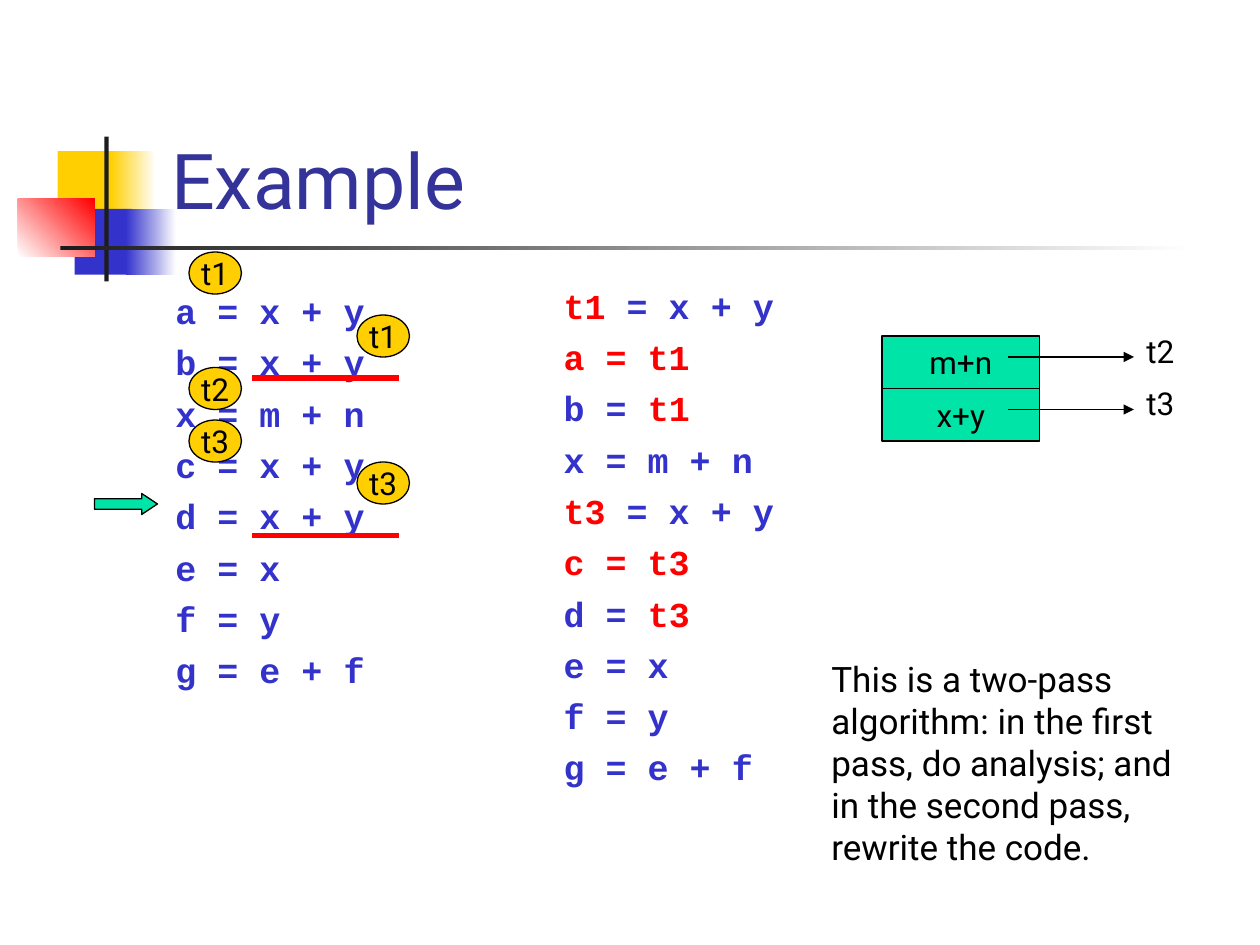
from typing import NamedTuple

from lxml import etree
from pptx import Presentation
from pptx.dml.color import RGBColor
from pptx.enum.shapes import MSO_CONNECTOR, MSO_SHAPE
from pptx.enum.text import MSO_ANCHOR, MSO_AUTO_SIZE, PP_ALIGN
from pptx.oxml.ns import qn
from pptx.util import Inches, Length, Pt

RECTANGLE, OVAL, ARROW = MSO_SHAPE.RECTANGLE, MSO_SHAPE.OVAL, MSO_SHAPE.RIGHT_ARROW
STRAIGHT = MSO_CONNECTOR.STRAIGHT
MIDDLE, BOTTOM = MSO_ANCHOR.MIDDLE, MSO_ANCHOR.BOTTOM
LEFT, CENTER = PP_ALIGN.LEFT, PP_ALIGN.CENTER
FIXED, GROW = MSO_AUTO_SIZE.NONE, MSO_AUTO_SIZE.SHAPE_TO_FIT_TEXT

BODY_FONT, CODE_FONT = "Roboto", "Courier New"
BLACK, WHITE, INK, NAVY = "000000", "FFFFFF", "1C1C1C", "333399"
BLUE, RED, GOLD, GREEN = "3333CC", "FF0000", "FFCF01", "00E4A8"


class Area(NamedTuple):
    """A place on the slide's grid of 120 columns by 90 rows."""
    column: float
    row: float
    columns: float
    rows: float


class Decor(NamedTuple):
    area: Area
    start: str
    end: str = ""
    angle: float = 0


class Tag(NamedTuple):
    column: float
    row: float
    text: str


DECOR = [
    Decor(Area(5.5, 14.4, 5.75, 6.25), GOLD),
    Decor(Area(10.55, 14.4, 4.3, 6.25), GOLD, WHITE),
    Decor(Area(7.1, 19.9, 5.5, 6.25), BLUE),
    Decor(Area(12, 19.9, 4.8, 6.25), BLUE, WHITE),
    Decor(Area(1.7, 18.95, 7.3, 5.5), WHITE, RED, 45),
    Decor(Area(9.95, 13, 0.4, 13.8), INK),
    Decor(Area(5.75, 23.4, 108, 0.4), INK, WHITE),
]
TAGS = [Tag(18, 24, "t1"), Tag(34, 30, "t1"), Tag(18, 35, "t2"),
        Tag(18, 40, "t3"), Tag(34, 44, "t3")]
UNDERLINE_ROWS = [36, 51]
EXPRESSIONS = [("m+n", "t2"), ("x+y", "t3")]

# Text between bars is highlighted.
CODE_BEFORE = ["a = x + y", "b = x + y", "x = m + n", "c = x + y",
               "d = x + y", "e = x", "f = y", "g = e + f"]
CODE_AFTER = ["|t1| = x + y", "|a = t1|", "b = |t1|", "x = m + n",
              "|t3| = x + y", "|c = t3|", "d = |t3|", "e = x", "f = y", "g = e + f"]
NOTE = ("This is a two-pass algorithm: in the first pass, do analysis; "
        "and in the second pass, rewrite the code.")


def grid(cells: float) -> Length:
    return Inches(cells / 12)


def place(area: Area) -> list[Length]:
    return [grid(cells) for cells in area]


def color(value: str) -> RGBColor:
    return RGBColor.from_string(value)


def style_font(para, name: str, size: float, fill: str, bold: bool = False) -> None:
    font = para.font
    font.name, font.size, font.bold = name, Pt(size), bold
    font.color.rgb = color(fill)


def add_shape(slide, kind, area: Area, fill: str, outlined: bool = True):
    shape = slide.shapes.add_shape(kind, *place(area))
    shape.shadow.inherit = False
    shape.fill.solid()
    shape.fill.fore_color.rgb = color(fill)
    if outlined:
        shape.line.color.rgb = color(BLACK)
        shape.line.width = Pt(0.75)
    else:
        shape.line.fill.background()
    return shape


def add_decor(slide, decor: Decor) -> None:
    shape = add_shape(slide, RECTANGLE, decor.area, decor.start, outlined=False)
    if decor.end:
        shape.fill.gradient()
        shape.fill.gradient_angle = decor.angle
        for stop, value in zip(shape.fill.gradient_stops, (decor.start, decor.end)):
            stop.color.rgb = color(value)
    slide.shapes.title.element.addprevious(shape.element)


def add_labelled(slide, kind, area: Area, fill: str, text: str) -> None:
    frame = add_shape(slide, kind, area, fill).text_frame
    frame.word_wrap = False
    frame.vertical_anchor = MIDDLE
    para = frame.paragraphs[0]
    para.text, para.alignment = text, CENTER
    style_font(para, BODY_FONT, 18, BLACK)


def add_line(slide, start: float, end: float, row: float, fill: str,
             width: float, arrow: bool = False) -> None:
    line = slide.shapes.add_connector(STRAIGHT, grid(start), grid(row), grid(end), grid(row))
    line.line.color.rgb = color(fill)
    line.line.width = Pt(width)
    if arrow:
        etree.SubElement(line.line._get_or_add_ln(), qn("a:tailEnd"), type="triangle")
    etree.SubElement(line.element.spPr, qn("a:effectLst"))


def add_text(slide, area: Area, text: str, size: float) -> None:
    frame = slide.shapes.add_textbox(*place(area)).text_frame
    frame.word_wrap = True
    frame.auto_size = GROW
    para = frame.paragraphs[0]
    para.text = text
    style_font(para, BODY_FONT, size, BLACK)


def move(shape, area: Area) -> None:
    shape.left, shape.top, shape.width, shape.height = place(area)


def write_code(frame, lines: list[str]) -> None:
    frame.word_wrap = True
    frame.auto_size = FIXED
    frame.margin_top = Inches(0.09)
    for number, line in enumerate(lines):
        para = frame.add_paragraph() if number else frame.paragraphs[0]
        para.space_before = Pt(5.3 if number else 0)
        properties = para._p.get_or_add_pPr()
        properties.set("marL", str(Inches(0.38)))
        properties.set("indent", str(Inches(-0.38)))
        etree.SubElement(properties, qn("a:buNone"))
        style_font(para, CODE_FONT, 20, BLUE, bold=True)
        for part, text in enumerate(line.split("|")):
            if text:
                span = para.add_run()
                span.text = text
                if part % 2:
                    span.font.color.rgb = color(RED)


def main() -> None:
    deck = Presentation()
    deck.slide_width, deck.slide_height = grid(120), grid(90)
    slide = deck.slides.add_slide(deck.slide_layouts[1])
    for decor in DECOR:
        add_decor(slide, decor)

    title = slide.shapes.title
    move(title, Area(15.1, 2.8, 102.2, 19.2))
    title.text_frame.vertical_anchor = BOTTOM
    title.text_frame.auto_size = FIXED
    heading = title.text_frame.paragraphs[0]
    heading.text, heading.alignment = "Example", LEFT
    style_font(heading, BODY_FONT, 44, NAVY)

    body = slide.placeholders[1]
    move(body, Area(15.5, 26.5, 30.5, 54))
    write_code(body.text_frame, CODE_BEFORE)
    after = slide.shapes.add_textbox(*place(Area(52.5, 26, 30.5, 54)))
    write_code(after.text_frame, CODE_AFTER)

    for row in UNDERLINE_ROWS:
        add_line(slide, 24, 38, row, RED, 3)
    for tag in TAGS:
        add_labelled(slide, OVAL, Area(tag.column, tag.row, 5, 4), GOLD, tag.text)
    for number, (expression, variable) in enumerate(EXPRESSIONS):
        row = 32 + 5 * number
        add_labelled(slide, RECTANGLE, Area(84, row, 15, 5), GREEN, expression)
        add_line(slide, 96, 108, row + 2, BLACK, 0.75, arrow=True)
        add_text(slide, Area(108, row - 1, 10, 4.8), variable, 18)

    pointer = add_shape(slide, ARROW, Area(9, 47, 6, 2), GREEN)
    pointer.adjustments[1] = 0.75
    add_text(slide, Area(78, 62, 37, 21.25), NOTE, 20)
    deck.save("out.pptx")


if __name__ == "__main__":
    main()
